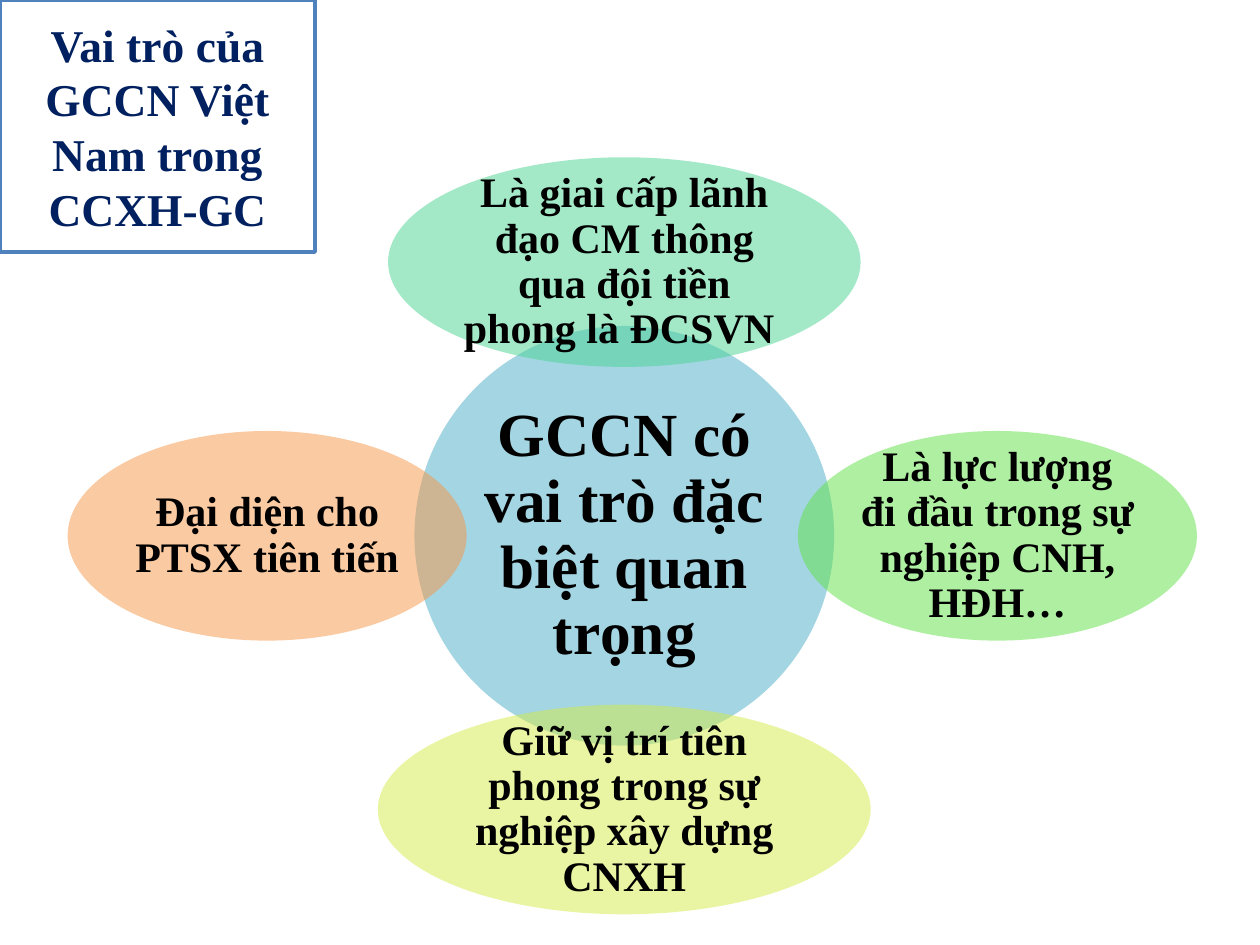
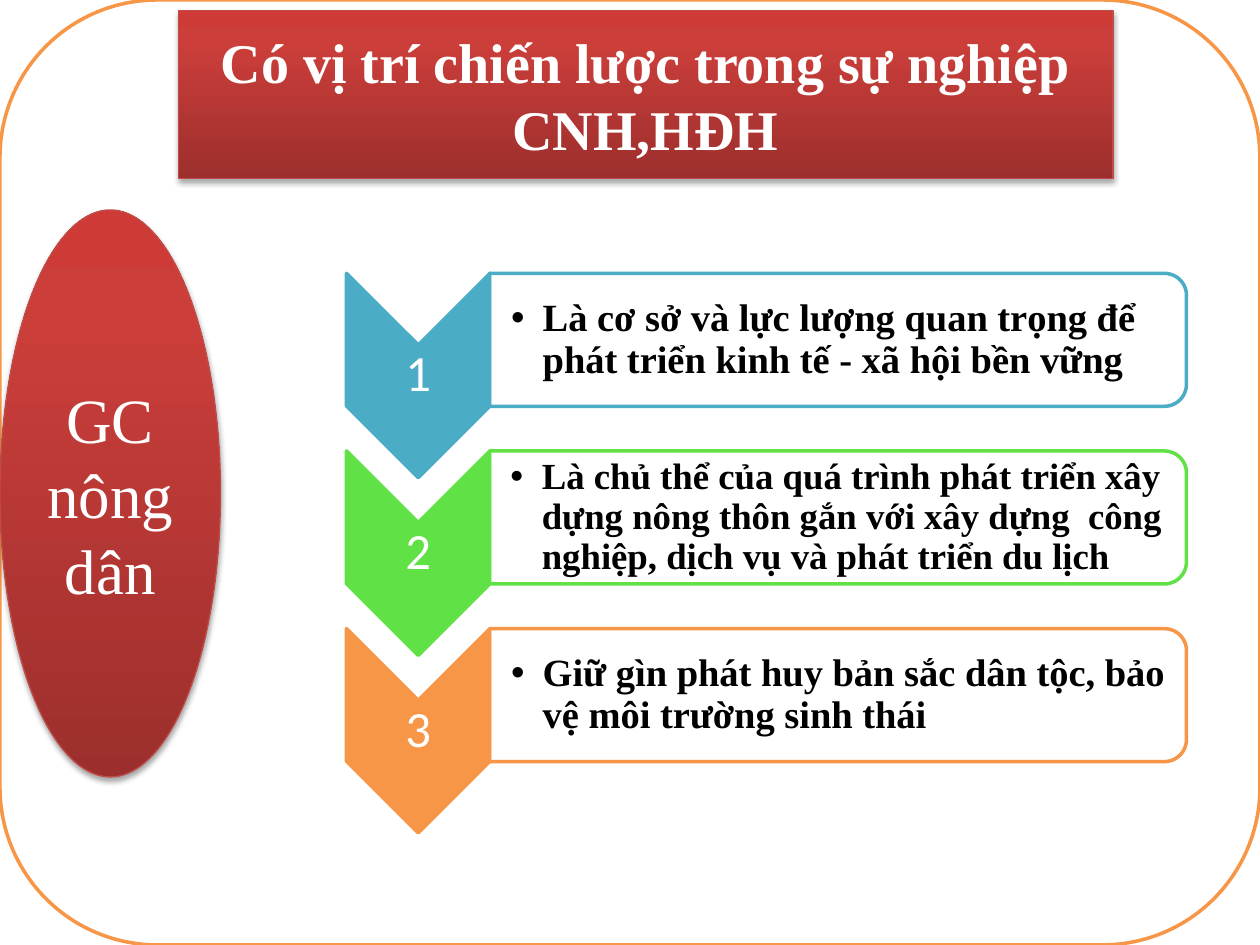
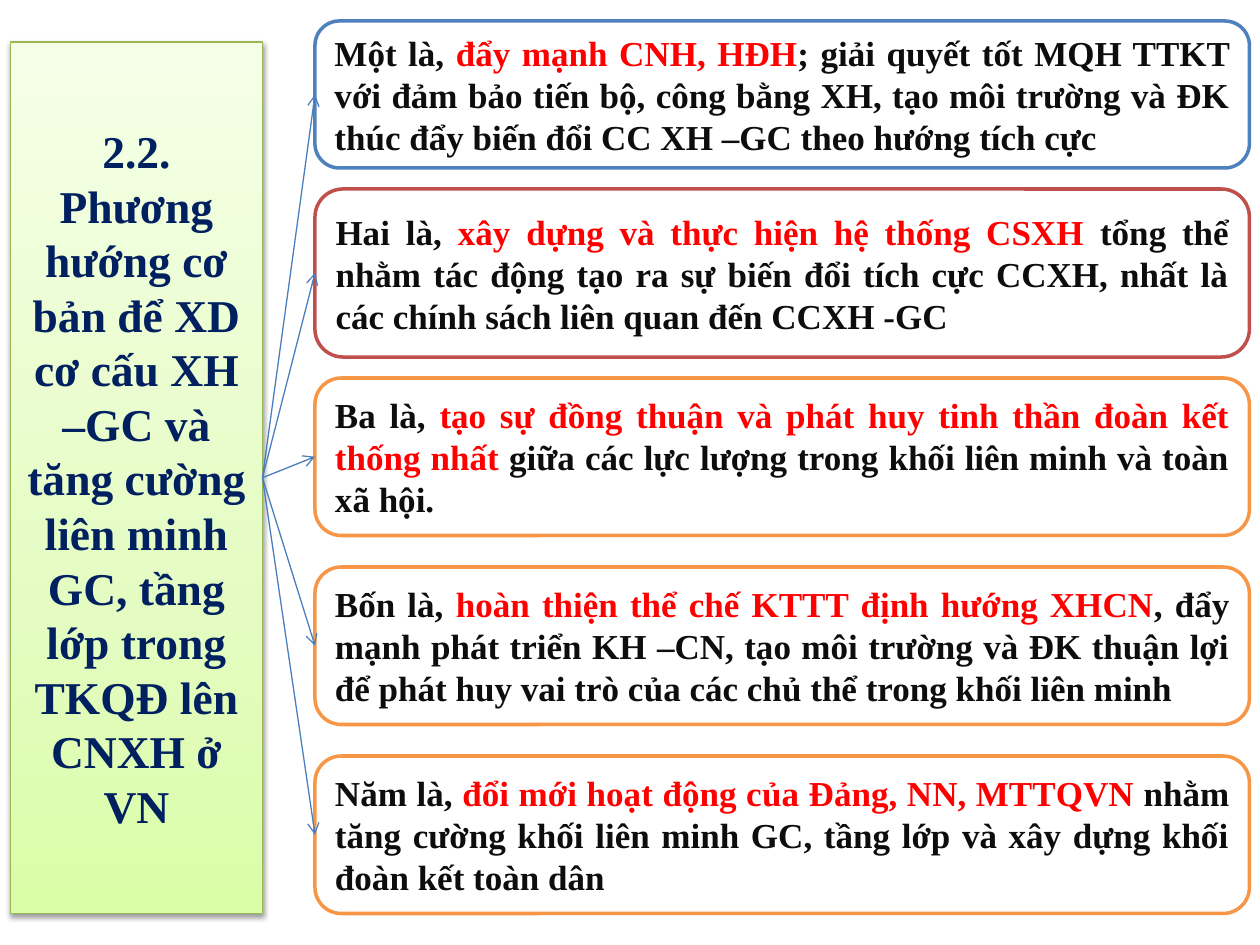
from dataclasses import dataclass
from typing import Any, Optional

from lxml import etree
from pptx import Presentation
from pptx.dml.color import RGBColor
from pptx.enum.shapes import MSO_CONNECTOR, MSO_SHAPE
from pptx.enum.text import MSO_ANCHOR, MSO_AUTO_SIZE, PP_ALIGN
from pptx.oxml.ns import qn
from pptx.util import Pt

OVAL = MSO_SHAPE.OVAL
ROUNDED = MSO_SHAPE.ROUNDED_RECTANGLE
CHEVRON = MSO_SHAPE.CHEVRON
TOP_ROUNDED = MSO_SHAPE.ROUND_2_SAME_RECTANGLE
STRAIGHT = MSO_CONNECTOR.STRAIGHT
MIDDLE = MSO_ANCHOR.MIDDLE
NO_FIT = MSO_AUTO_SIZE.NONE
CENTER, LEFT, JUSTIFY = PP_ALIGN.CENTER, PP_ALIGN.LEFT, PP_ALIGN.JUSTIFY
LEFT_SITE, RIGHT_SITE = 1, 3
TITLE_ONLY = 5


# ---- Theme and descriptions -------------------------------------------------
@dataclass(frozen=True)
class Theme:
    serif: str = "Times New Roman"
    sans: str = "Calibri"
    white: str = "FFFFFF"
    black: str = "000000"
    ink: str = "0D0D0D"
    navy: str = "002060"
    key: str = "FF0000"
    blue: str = "4F81BD"
    brick: str = "C0504D"
    orange: str = "F79646"
    teal: str = "4BACC6"
    mint: str = "48D491"
    green: str = "60E146"
    lime: str = "D5EC46"
    arrow: str = "4B7EBC"
    outline: float = 2
    hairline: float = 0.75
    heading: float = 26
    banner: float = 32
    group: float = 36
    hub: float = 35
    satellite: float = 24
    number: float = 29
    direction: float = 20


THEME = Theme()


@dataclass(frozen=True)
class Box:
    left: float
    top: float
    width: float
    height: float

    @classmethod
    def around(cls, x: float, y: float, width: float, height: float) -> "Box":
        return cls(x - width / 2, y - height / 2, width, height)

    def lengths(self) -> tuple:
        return tuple(Pt(round(v, 2)) for v in (self.left, self.top, self.width, self.height))


@dataclass(frozen=True)
class TextStyle:
    size: float
    color: str
    bold: bool = True
    font: str = THEME.serif
    align: Any = CENTER
    spacing: Optional[float] = None
    margins: tuple = (7.2, 3.6, 7.2, 3.6)


@dataclass(frozen=True)
class Glossy:
    """Gradient from bottom to top, with a thin line and a soft shadow."""
    stops: tuple
    line: str
    shadow_alpha: int
    shadow_distance: float


RED_GLOSS = Glossy(((0, "9C2F2D"), (80, "CB3E3A"), (100, "CE3B37")), "BF4C48", 35, 1.8)
LIME_GLOSS = Glossy(((0, "DAFDA7"), (35, "E4FCC2"), (100, "F5FFE7")), "98B955", 38, 1.6)


@dataclass(frozen=True)
class Satellite:
    dx: float
    dy: float
    width: float
    color: str
    text: str


@dataclass(frozen=True)
class Step:
    color: str
    size: float
    inset: float
    text: str


@dataclass(frozen=True)
class Direction:
    top: float
    height: float
    color: str
    lead: str
    key: str
    rest: str


# ---- Drawing helpers --------------------------------------------------------
def rgb(color: str) -> RGBColor:
    return RGBColor.from_string(color)


def sub(parent: Any, tag: str, **attributes: Any) -> Any:
    return etree.SubElement(parent, qn(tag), {k: str(v) for k, v in attributes.items()})


def sub_color(parent: Any, color: str, alpha: Optional[int] = None) -> None:
    node = sub(parent, "a:srgbClr", val=color)
    if alpha is not None:
        sub(node, "a:alpha", val=alpha * 1000)


def paint(shape: Any, fill: str, line: Optional[str] = None, alpha: Optional[int] = None) -> None:
    shape.shadow.inherit = False
    shape.fill.solid()
    shape.fill.fore_color.rgb = rgb(fill)
    if alpha is not None:
        color_node = shape._element.spPr.find(qn("a:solidFill"))[0]
        sub(color_node, "a:alpha", val=alpha * 1000)
    if line is None:
        shape.line.fill.background()
    else:
        shape.line.color.rgb = rgb(line)
        shape.line.width = Pt(THEME.outline)


def gloss(shape: Any, look: Glossy) -> None:
    shape.fill.gradient()
    shape.fill.gradient_angle = 90
    properties = shape._element.spPr
    stops = properties.find(qn("a:gradFill")).find(qn("a:gsLst"))
    for old in list(stops):
        stops.remove(old)
    for position, color in look.stops:
        sub_color(sub(stops, "a:gs", pos=position * 1000), color)
    shape.line.color.rgb = rgb(look.line)
    shape.line.width = Pt(THEME.hairline)
    shape.shadow.inherit = False
    shadow = sub(properties.find(qn("a:effectLst")), "a:outerShdw", blurRad=Pt(3.1),
                 dist=Pt(look.shadow_distance), dir=5400000, rotWithShape=0)
    sub_color(shadow, THEME.black, look.shadow_alpha)


def write(shape: Any, style: TextStyle, *runs: tuple) -> Any:
    """Fill the frame with one paragraph of (text, colour) runs."""
    frame = shape.text_frame
    left, top, right, bottom = (Pt(m) for m in style.margins)
    frame_format = {"word_wrap": True, "auto_size": NO_FIT, "vertical_anchor": MIDDLE,
                    "margin_left": left, "margin_top": top,
                    "margin_right": right, "margin_bottom": bottom}
    for name, value in frame_format.items():
        setattr(frame, name, value)
    paragraph = frame.paragraphs[0]
    paragraph.alignment = style.align
    if style.spacing:
        paragraph.line_spacing = style.spacing
    font_format = {"name": style.font, "size": Pt(style.size), "bold": style.bold}
    for text, color in runs:
        run = paragraph.add_run()
        run.text = text
        for name, value in font_format.items():
            setattr(run.font, name, value)
        run.font.color.rgb = rgb(color)
    return paragraph


def say(shape: Any, style: TextStyle, text: str) -> Any:
    return write(shape, style, (text, style.color))


def add_bullet(paragraph: Any) -> None:
    properties = paragraph._p.get_or_add_pPr()
    properties.set("marL", str(Pt(18)))
    properties.set("indent", str(-Pt(18)))
    sub(properties, "a:buFont", typeface="Arial")
    sub(properties, "a:buChar", char="•")


def place_title(slide: Any, box: Box, geometry: str, style: TextStyle, text: str) -> Any:
    """Give the title placeholder an outline and bring it to the front."""
    title = slide.shapes.title
    title.left, title.top, title.width, title.height = box.lengths()
    outline = etree.Element(qn("a:prstGeom"), {"prst": geometry})
    sub(outline, "a:avLst")
    title._element.spPr.insert(1, outline)
    slide.shapes._spTree.append(title._element)
    say(title, style, text)
    return title


def add_arrow(slide: Any, source: Any, target: Any) -> None:
    arrow = slide.shapes.add_connector(STRAIGHT, 0, 0, 0, 0)
    arrow.begin_connect(source, RIGHT_SITE)
    arrow.end_connect(target, LEFT_SITE)
    arrow.line.color.rgb = rgb(THEME.arrow)
    arrow.line.width = Pt(THEME.hairline)
    sub(arrow.line._get_or_add_ln(), "a:tailEnd", type="arrow")
    sub(arrow._element.spPr, "a:effectLst")


HEADING = TextStyle(THEME.heading, THEME.navy)

# ---- Slide 1: role of the working class -------------------------------------
HUB_X, HUB_Y, HUB_SIZE = 356.75, 306.2, 239.8
SATELLITE_HEIGHT = 119.8
SATELLITES = (
    Satellite(0, -156.4, 270, THEME.mint,
              "Là giai cấp lãnh đạo CM thông qua đội tiền phong là ĐCSVN "),
    Satellite(213.2, 0, 228, THEME.green,
              "Là lực lượng đi đầu trong sự nghiệp CNH, HĐH…"),
    Satellite(0, 156.4, 281.6, THEME.lime,
              "Giữ vị trí tiên phong trong sự nghiệp xây dựng CNXH"),
    Satellite(-204.1, 0, 228, THEME.orange, "Đại diện cho PTSX tiên tiến"),
)


def build_role(slide: Any) -> None:
    hub_style = TextStyle(THEME.hub, THEME.black, spacing=0.9, margins=(3.5,) * 4)
    satellite_style = TextStyle(THEME.satellite, THEME.black, spacing=0.9, margins=(2.4,) * 4)
    hub = slide.shapes.add_shape(OVAL, *Box.around(HUB_X, HUB_Y, HUB_SIZE, HUB_SIZE).lengths())
    paint(hub, THEME.teal, alpha=50)
    say(hub, hub_style, "GCCN có vai trò đặc biệt quan trọng")
    for item in SATELLITES:
        box = Box.around(HUB_X + item.dx, HUB_Y + item.dy, item.width, SATELLITE_HEIGHT)
        satellite = slide.shapes.add_shape(OVAL, *box.lengths())
        paint(satellite, item.color, alpha=50)
        say(satellite, satellite_style, item.text)
    title = place_title(slide, Box(0, 0, 180, 144), "roundRect", HEADING,
                        "Vai tro\u0300 cu\u0309a GCCN Việt Nam trong CCXH-GC")
    paint(title, THEME.white, THEME.blue)


# ---- Slide 2: the peasantry -------------------------------------------------
STEP_TOP, STEP_PITCH = 156.2, 101.5
CHEVRON_X, CHEVRON_LENGTH, CHEVRON_WIDTH = 239, 116.8, 82
PANEL_LEFT, PANEL_WIDTH, PANEL_HEIGHT = 279.8, 398.2, 76
STEPS = (
    Step(THEME.teal, 22, 12.3,
         "Là cơ sở và lực lượng quan trọng để phát triển kinh tế - xã hội bền vững"),
    Step(THEME.green, 21, 11.8,
         "Là chủ thể của quá trình phát triển xây dựng nông thôn gắn với xây dựng  công "
         "nghiệp, dịch vụ và pha\u0301t triển du lịch"),
    Step(THEME.orange, 22, 12.3,
         "Giữ gìn phát huy bản sắc dân tộc, bảo vệ môi trường sinh thái"),
)


def build_step(slide: Any, index: int, step: Step) -> None:
    top = STEP_TOP + index * STEP_PITCH
    chevron_y, panel_y = top + CHEVRON_LENGTH / 2, top + PANEL_HEIGHT / 2
    panel_x = PANEL_LEFT + PANEL_WIDTH / 2
    # Both outlines are turned a quarter, so their text sits in upright boxes
    chevron = slide.shapes.add_shape(
        CHEVRON, *Box.around(CHEVRON_X, chevron_y, CHEVRON_LENGTH, CHEVRON_WIDTH).lengths())
    panel = slide.shapes.add_shape(
        TOP_ROUNDED, *Box.around(panel_x, panel_y, PANEL_HEIGHT, PANEL_WIDTH).lengths())
    chevron.rotation = panel.rotation = 90
    paint(chevron, step.color, step.color)
    paint(panel, THEME.white, step.color, alpha=90)
    number = slide.shapes.add_textbox(
        *Box.around(CHEVRON_X, chevron_y, CHEVRON_WIDTH, 35).lengths())
    say(number, TextStyle(THEME.number, THEME.white, False, THEME.sans, spacing=0.9,
                          margins=(1.4,) * 4), str(index + 1))
    point = slide.shapes.add_textbox(*Box(PANEL_LEFT, panel_y - 34.2, 394.6, 68.4).lengths())
    add_bullet(say(point, TextStyle(step.size, THEME.black, align=LEFT, spacing=0.9,
                                    margins=(step.inset, 1, 1, 1)), step.text))


def build_peasantry(slide: Any) -> None:
    frame = slide.shapes.add_shape(ROUNDED, *Box(0, 0, 720, 540).lengths())
    paint(frame, THEME.white, THEME.orange)
    group = slide.shapes.add_shape(OVAL, *Box(0, 120, 126, 324).lengths())
    gloss(group, RED_GLOSS)
    say(group, TextStyle(THEME.group, THEME.white, bold=False), "GC nông dân")
    title = place_title(slide, Box(102, 6, 534, 96), "ellipse",
                        TextStyle(THEME.banner, THEME.white),
                        "Có vị trí chiến lược trong sự nghiệp CNH,HĐH")
    gloss(title, RED_GLOSS)
    for index, step in enumerate(STEPS):
        build_step(slide, index, step)


# ---- Slide 3: five directions -----------------------------------------------
DIRECTIONS = (
    Direction(12, 84, THEME.blue, "Một là, ", "đẩy mạnh CNH, HĐH",
              "; giải quyết tốt MQH TTKT với đảm bảo tiến bộ, công bằng XH, tạo môi trường "
              "và ĐK thúc đẩy biến đổi CC XH –GC theo hướng tích cực "),
    Direction(108, 96, THEME.brick, "Hai là, ", "xây dựng và thực hiện hệ thống CSXH ",
              "tổng thể nhằm tác động tạo ra sự biến đổi tích cực CCXH, nhất là các chính "
              "sách liên quan đến CCXH -GC "),
    Direction(216, 90, THEME.orange, "Ba là, ",
              "tạo sự đồng thuận và phát huy tinh thần đoàn kết thống nhất ",
              "giữa các lực lượng trong khối liên minh và toàn xã hội. "),
    Direction(324, 90, THEME.orange, "Bốn là, ", "hoàn thiện thể chế KTTT định hướng XHCN",
              ", đẩy mạnh phát triển KH –CN, tạo môi trường và ĐK thuận lợi để phát huy vai "
              "trò của các chủ thể trong khối liên minh "),
    Direction(432, 90, THEME.orange, "Năm là, ", "đổi mới hoạt động của Đảng, NN, MTTQVN ",
              "nhằm tăng cường khối liên minh GC, tầng lớp và xây dựng khối đoàn kết toàn dân"),
)


def build_directions(slide: Any) -> None:
    title = place_title(slide, Box(6, 24, 144, 498), "roundRect", HEADING,
                        "2.2. Phương hướng cơ bản để XD cơ cấu XH –GC và tăng cường liên minh "
                        "GC, tầng lớp trong TKQĐ lên CNXH ở VN")
    gloss(title, LIME_GLOSS)
    style = TextStyle(THEME.direction, THEME.ink, align=JUSTIFY)
    for item in DIRECTIONS:
        card = slide.shapes.add_shape(ROUNDED, *Box(180, item.top, 534, item.height).lengths())
        paint(card, THEME.white, item.color)
        write(card, style, (item.lead, THEME.ink), (item.key, THEME.key), (item.rest, THEME.ink))
        add_arrow(slide, title, card)


# ---- Presentation -----------------------------------------------------------
deck = Presentation()
deck.slide_width, deck.slide_height = Pt(720), Pt(540)
for build in (build_role, build_peasantry, build_directions):
    build(deck.slides.add_slide(deck.slide_layouts[TITLE_ONLY]))
deck.save("out.pptx")
